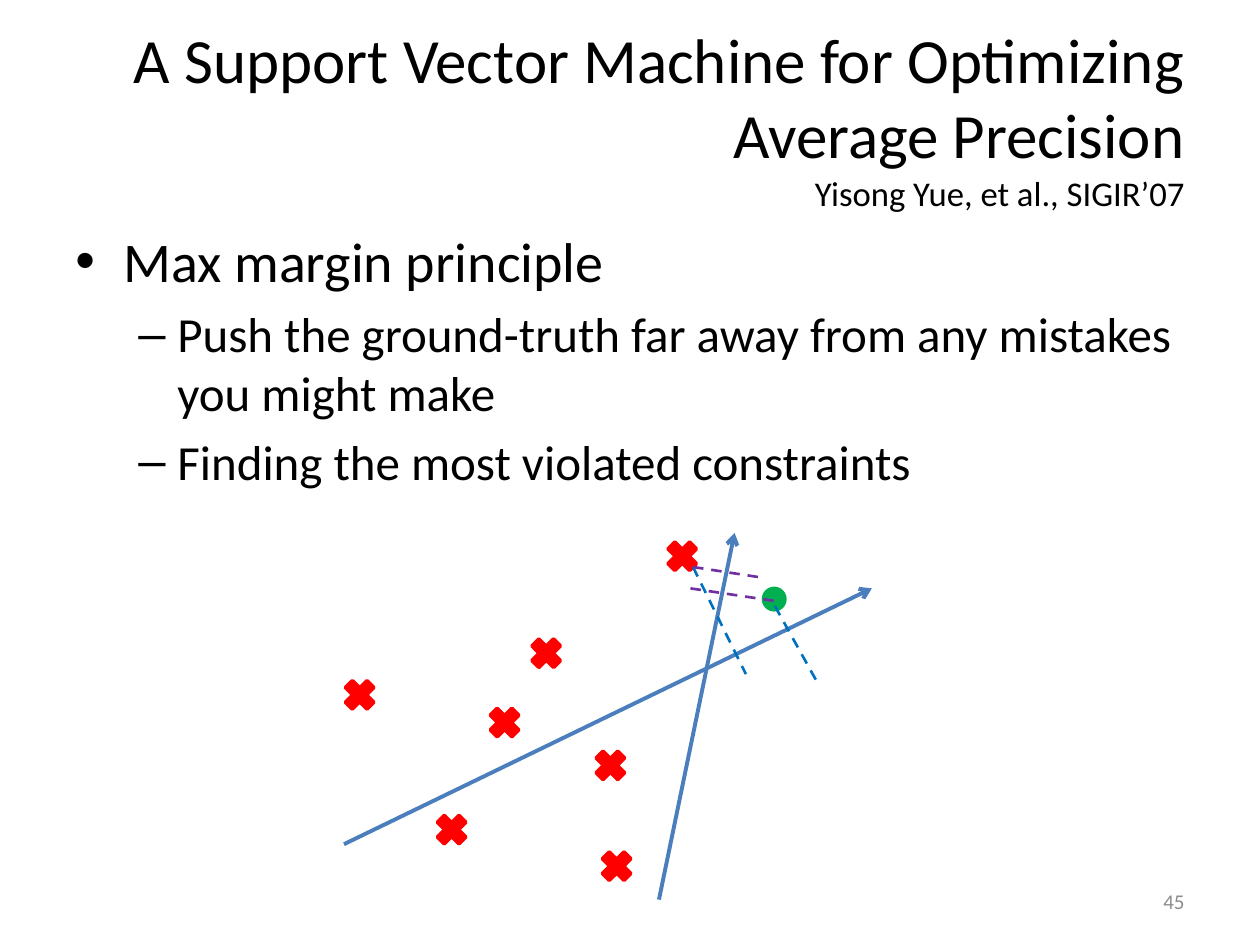
from dataclasses import dataclass

from lxml import etree
from pptx import Presentation
from pptx import util as u
from pptx.dml.color import RGBColor
from pptx.enum import dml, shapes, text
from pptx.oxml.ns import qn

FONT = "Calibri"
BLACK, GREY = "000000", "8C8C8C"
RED, GREEN = "FF0000", "00B050"
AXIS_BLUE, DASH_BLUE, PURPLE = "4B7EBC", "0070C0", "7030A0"


@dataclass
class Bullet:
    words: str
    symbol: str
    size: float
    level: int
    margin: float
    indent: float
    space_before: float


@dataclass
class Marker:
    left: float
    top: float
    size: float = 0.33
    kind: shapes.MSO_SHAPE = shapes.MSO_SHAPE.MATH_MULTIPLY
    color: str = RED


@dataclass
class Line:
    start: tuple[float, float]
    end: tuple[float, float]
    color: str
    width: float = 1.5
    arrow: bool = False


BULLETS = [
    Bullet("Max margin principle", "•", 32, 0, 0.38, -0.38, 0),
    Bullet("Push the ground-truth far away from any mistakes you might make",
           "–", 28, 1, 0.81, -0.31, 5.6),
    Bullet("Finding the most violated constraints", "–", 28, 1, 0.81, -0.31, 5.6),
]
STEEP_AXIS = Line((5.23, 7.14), (5.83, 4.23), AXIS_BLUE, 2.25, True)
MARKERS = [
    Marker(4.17, 5.02),
    Marker(4.68, 5.91),
    Marker(3.84, 5.57),
    Marker(3.42, 6.42),
    Marker(2.69, 5.35),
    Marker(4.73, 6.71),
    Marker(6.06, 4.67, 0.17, shapes.MSO_SHAPE.OVAL, GREEN),
    Marker(5.25, 4.25),
]
FRONT_LINES = [
    Line((2.73, 6.7), (6.92, 4.67), AXIS_BLUE, 2.25, True),
    Line((5.5, 4.5), (5.92, 5.35), DASH_BLUE),
    Line((6.15, 4.81), (6.5, 5.44), DASH_BLUE),
    Line((5.5, 4.5), (6.02, 4.58), PURPLE),
    Line((5.48, 4.67), (6.15, 4.77), PURPLE),
]


def rgb(value: str) -> RGBColor:
    return RGBColor.from_string(value)


def apply(target, values: dict) -> None:
    for name, value in values.items():
        setattr(target, name, value)


def add_box(page, left: float, top: float, width: float, height: float,
            anchor=text.MSO_ANCHOR.TOP):
    box = page.shapes.add_textbox(*map(u.Inches, (left, top, width, height)))
    apply(box.text_frame, {"word_wrap": True, "vertical_anchor": anchor})
    return box.text_frame


def add_span(para, words: str, size: float, color: str = BLACK) -> None:
    span = para.add_run()
    span.text = words
    apply(span.font, {"name": FONT, "size": u.Pt(size)})
    span.font.color.rgb = rgb(color)


def add_bullets(frame, bullets: list[Bullet]) -> None:
    for index, bullet in enumerate(bullets):
        para = frame.add_paragraph() if index else frame.paragraphs[0]
        apply(para, {"level": bullet.level, "space_before": u.Pt(bullet.space_before)})
        props = para._p.get_or_add_pPr()
        props.set("marL", str(u.Inches(bullet.margin)))
        props.set("indent", str(u.Inches(bullet.indent)))
        etree.SubElement(props, qn("a:buFont"), typeface="Arial")
        etree.SubElement(props, qn("a:buChar"), char=bullet.symbol)
        add_span(para, bullet.words, bullet.size)


def add_marker(group, marker: Marker) -> None:
    shape = group.shapes.add_shape(
        marker.kind, *map(u.Inches, (marker.left, marker.top, marker.size, marker.size)))
    shape.shadow.inherit = False
    shape.fill.solid()
    shape.fill.fore_color.rgb = rgb(marker.color)
    shape.line.color.rgb = rgb(marker.color)
    shape.line.width = u.Pt(2)


def add_line(page, line: Line) -> None:
    connector = page.shapes.add_connector(
        shapes.MSO_CONNECTOR.STRAIGHT, *map(u.Inches, line.start + line.end))
    connector.line.color.rgb = rgb(line.color)
    connector.line.width = u.Pt(line.width)
    props = connector._element.spPr
    if line.arrow:
        etree.SubElement(props.find(qn("a:ln")), qn("a:tailEnd"), type="arrow")
    else:
        connector.line.dash_style = dml.MSO_LINE.DASH
    etree.SubElement(props, qn("a:effectLst"))


def main() -> None:
    deck = Presentation()
    apply(deck, {"slide_width": u.Inches(10), "slide_height": u.Inches(7.5)})
    page = deck.slides.add_slide(deck.slide_layouts[6])

    add_bullets(add_box(page, 0.5, 1.75, 9, 4.95), BULLETS)

    title = add_box(page, 0.5, 0.3, 9, 1.25, text.MSO_ANCHOR.MIDDLE).paragraphs[0]
    title.alignment = text.PP_ALIGN.RIGHT
    add_span(title, "A Support Vector Machine for Optimizing Average Precision", 36)
    title.add_line_break()
    add_span(title, "Yisong Yue, et al., SIGIR’07", 19.8)

    add_line(page, STEEP_AXIS)
    group = page.shapes.add_group_shape()
    for marker in MARKERS:
        add_marker(group, marker)
    for line in FRONT_LINES:
        add_line(page, line)

    number = add_box(page, 7.17, 6.95, 2.33, 0.4, text.MSO_ANCHOR.MIDDLE).paragraphs[0]
    number.alignment = text.PP_ALIGN.RIGHT
    add_span(number, "45", 12, GREY)

    deck.save("out.pptx")


if __name__ == "__main__":
    main()
